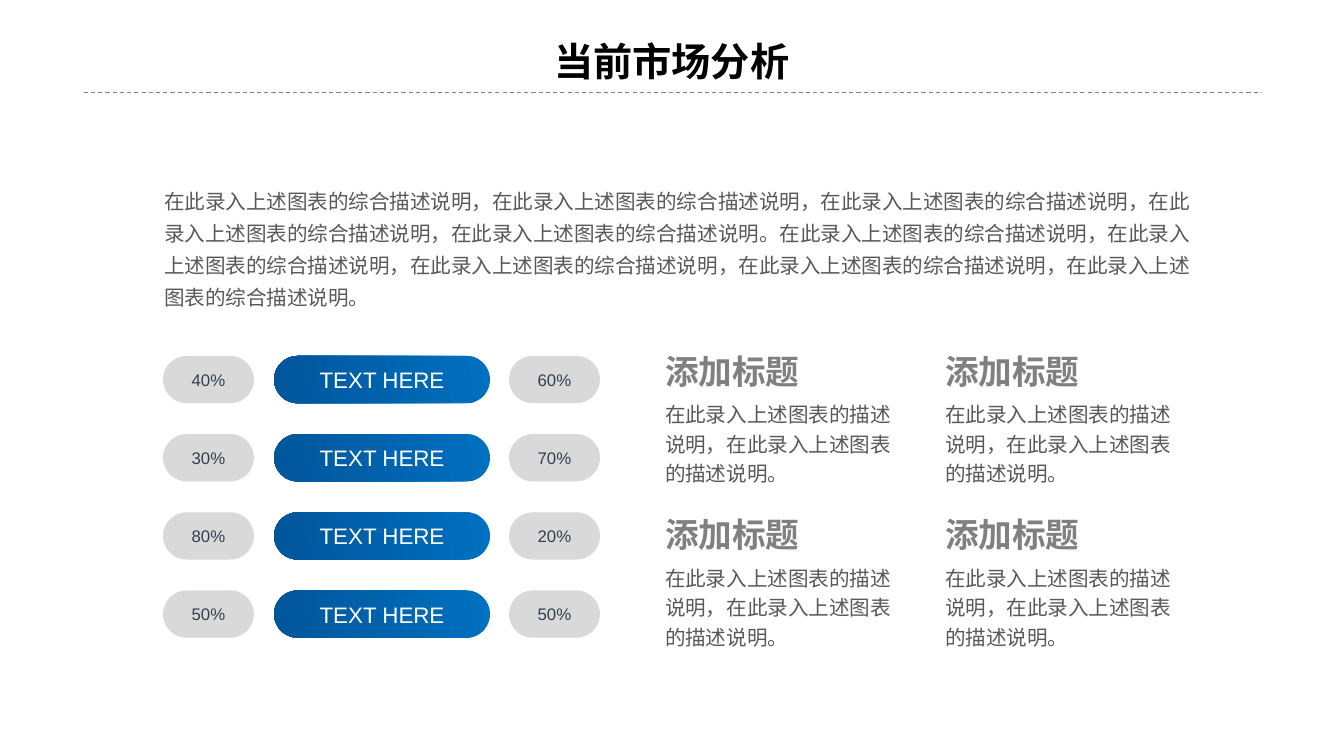
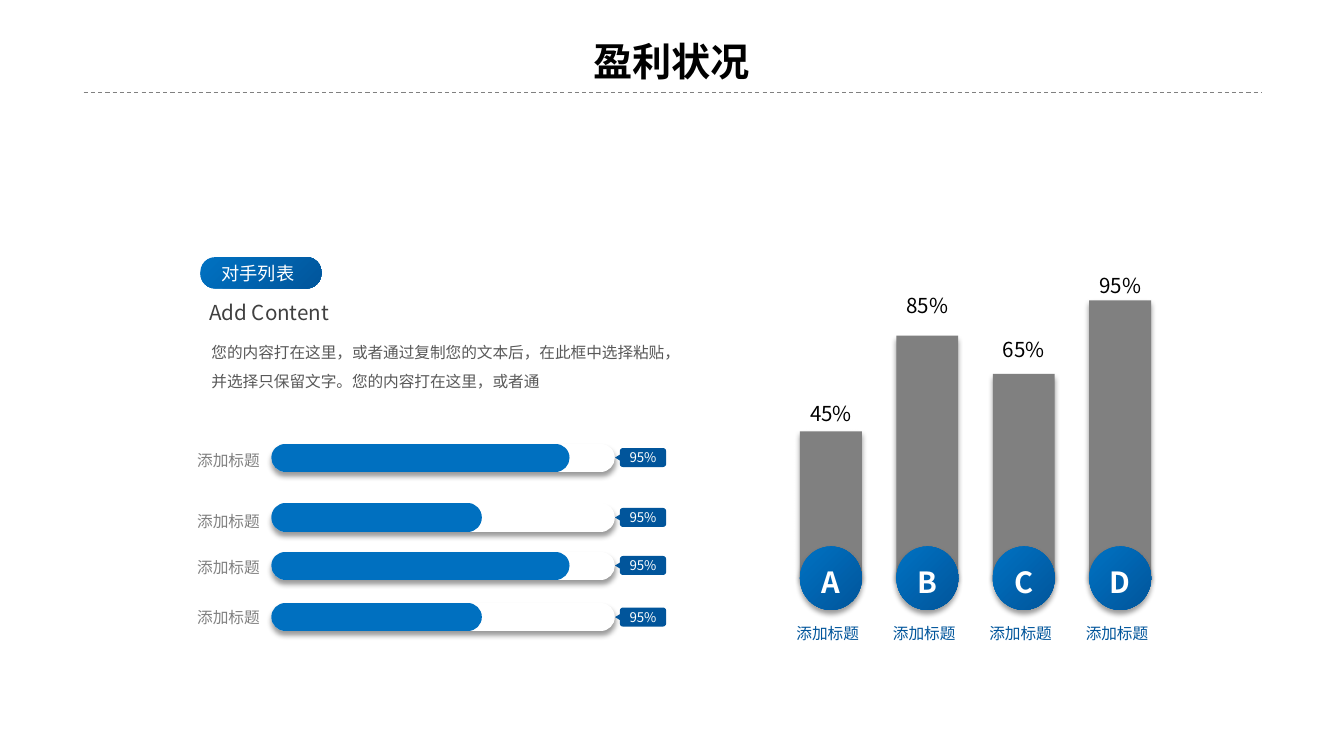
from lxml import etree
from pptx import Presentation
from pptx.dml.color import RGBColor
from pptx.enum.dml import MSO_LINE
from pptx.enum.shapes import MSO_CONNECTOR, MSO_SHAPE
from pptx.enum.text import MSO_ANCHOR, MSO_AUTO_SIZE, PP_ALIGN
from pptx.oxml.ns import qn
from pptx.util import Cm, Pt

# Shared look
CJK_FONT = "Noto Sans CJK SC"
LATIN_FONT = "Arial"
BLACK, WHITE = "000000", "FFFFFF"
BLUE, NAVY, SLATE = "0070C0", "01559B", "333F50"
GRAY, PALE, BODY, DARK = "808080", "D9D9D9", "595959", "404040"
PADDING = (0.25, 0.13, 0.25, 0.13)
NO_PADDING = (0, 0, 0, 0)

CAPTION = "添加标题"


def color(hex_code):
    return RGBColor.from_string(hex_code)


def write(frame, text, size=14.65, ink=BODY, font=CJK_FONT, bold=False,
          align=PP_ALIGN.LEFT, anchor=MSO_ANCHOR.MIDDLE, leading=None,
          padding=PADDING, wrap=True):
    """Fill a text frame with one formatted paragraph."""
    frame.auto_size = MSO_AUTO_SIZE.NONE
    frame.word_wrap = wrap
    frame.vertical_anchor = anchor
    (frame.margin_left, frame.margin_top,
     frame.margin_right, frame.margin_bottom) = map(Cm, padding)
    paragraph = frame.paragraphs[0]
    paragraph.alignment = align
    if leading:
        paragraph.line_spacing = Pt(leading)
    run = paragraph.add_run()
    run.text = text
    run.font.size = Pt(size)
    run.font.bold = bold
    run.font.color.rgb = color(ink)
    run.font.name = font
    east_asian = etree.SubElement(run.font._element, qn("a:ea"))
    east_asian.set("typeface", font)


def add_text(slide, text, left, top, width, height, **text_format):
    box = slide.shapes.add_textbox(Cm(left), Cm(top), Cm(width), Cm(height))
    write(box.text_frame, text, **text_format)


def add_centered_text(slide, text, center_x, center_y, **text_format):
    width, height = 2.4, 0.8
    add_text(slide, text, center_x - width / 2, center_y - height / 2, width, height,
             align=PP_ALIGN.CENTER, wrap=False, padding=NO_PADDING, **text_format)


def set_effects(shape, shadow):
    """Give a shape its own effect list, with or without a soft shadow below."""
    properties = shape._element.spPr
    effects = properties.find(qn("a:effectLst"))
    if effects is None:
        effects = etree.SubElement(properties, qn("a:effectLst"))
    if shadow:
        outer = etree.SubElement(effects, qn("a:outerShdw"), blurRad=str(Pt(4)),
                                 dist=str(Pt(3)), dir="5400000", algn="t",
                                 rotWithShape="0")
        tint = etree.SubElement(outer, qn("a:srgbClr"), val=BLACK)
        etree.SubElement(tint, qn("a:alpha"), val="40000")


def add_block(slide, kind, left, top, width, height, fill=None, gradient_angle=None,
              first_stop=0.05, shadow=False, roundness=None, rotation=0,
              text=None, **text_format):
    """Draw a borderless shape, flat or blue gradient, with optional text."""
    block = slide.shapes.add_shape(kind, Cm(left), Cm(top), Cm(width), Cm(height))
    block.rotation = rotation
    if roundness is not None:
        block.adjustments[0] = roundness
    if gradient_angle is None:
        block.fill.solid()
        block.fill.fore_color.rgb = color(fill)
    else:
        block.fill.gradient()
        block.fill.gradient_angle = gradient_angle
        for stop, place, tone in zip(block.fill.gradient_stops, (first_stop, 1), (BLUE, NAVY)):
            stop.position = place
            stop.color.rgb = color(tone)
    block.line.fill.background()
    block.shadow.inherit = False
    set_effects(block, shadow)
    if text:
        settings = {"ink": WHITE, "align": PP_ALIGN.CENTER, "padding": NO_PADDING}
        write(block.text_frame, text, **{**settings, **text_format})


def add_line(slide, start_x, end_x, y, ink, width, dashed=False, round_cap=False, shadow=False):
    line = slide.shapes.add_connector(MSO_CONNECTOR.STRAIGHT,
                                      Cm(start_x), Cm(y), Cm(end_x), Cm(y))
    line.line.color.rgb = color(ink)
    line.line.width = Pt(width)
    if dashed:
        line.line.dash_style = MSO_LINE.DASH
    if round_cap:
        line.line._get_or_add_ln().set("cap", "rnd")
    set_effects(line, shadow)


def add_titled_slide(deck, title_text):
    slide = deck.slides.add_slide(deck.slide_layouts[5])
    title = slide.shapes.title
    title.left, title.top, title.width, title.height = map(Cm, (9.93, 0.81, 14, 1.45))
    write(title.text_frame, title_text, size=28, ink=BLACK, bold=True, align=PP_ALIGN.CENTER)
    add_line(slide, 2.11, 31.78, 2.34, GRAY, 0.75, dashed=True)
    return slide


# Market slide parts
def add_share_row(slide, top, left_share, right_share):
    height = 1.19
    for left, share in ((4.11, left_share), (12.83, right_share)):
        add_block(slide, MSO_SHAPE.ROUNDED_RECTANGLE, left, top, 2.29, height, fill=PALE,
                  roundness=0.5, text=share, size=12, ink=SLATE, font=LATIN_FONT)
    add_block(slide, MSO_SHAPE.ROUNDED_RECTANGLE, 6.91, top, 5.44, height,
              gradient_angle=190, first_stop=0, roundness=0.5,
              text="TEXT HERE", size=16, font=LATIN_FONT)


def add_topic(slide, left, top):
    add_text(slide, CAPTION, left, top, 4.32, 1.27, size=24, ink=GRAY, bold=True)
    add_text(slide, "在此录入上述图表的描述说明，在此录入上述图表的描述说明。",
             left, top + 1.17, 6.6, 2.51, leading=21.1, anchor=MSO_ANCHOR.TOP)


def build_market_slide(deck):
    slide = add_titled_slide(deck, "当前市场分析")
    phrase = "在此录入上述图表的综合描述说明"
    summary = "，".join([phrase] * 5) + "。"
    add_text(slide, summary * 2, 3.89, 4.45, 26.6, 3.5,
             leading=22.9, anchor=MSO_ANCHOR.TOP)

    shares = [("40%", "60%"), ("30%", "70%"), ("80%", "20%"), ("50%", "50%")]
    for row, (left_share, right_share) in enumerate(shares):
        add_share_row(slide, 8.97 + 1.97 * row, left_share, right_share)

    for top in (8.71, 12.83):
        for left in (16.51, 23.57):
            add_topic(slide, left, top)


# Profit slide parts
def add_progress(slide, y, fill_end, label_y):
    start = 7.19
    add_text(slide, CAPTION, 4.72, label_y - 0.37, 2.11, 0.74,
             size=11.2, ink=GRAY, wrap=False)
    add_line(slide, start, 15.14, y, WHITE, 20, round_cap=True, shadow=True)
    add_line(slide, start, fill_end, y, BLUE, 20, round_cap=True)
    add_block(slide, MSO_SHAPE.ISOSCELES_TRIANGLE, 15.47, y - 0.15, 0.36, 0.3,
              fill=NAVY, rotation=270)
    add_block(slide, MSO_SHAPE.ROUNDED_RECTANGLE, 15.62, y - 0.24, 1.17, 0.48,
              fill=NAVY, text="95%", size=9.5, wrap=False)


def add_column(slide, center, top, letter, share, share_y):
    width, base = 1.56, 14.55
    left = center - width / 2
    add_centered_text(slide, share, center, share_y, ink=BLACK)
    add_block(slide, MSO_SHAPE.RECTANGLE, left, top, width, base - top,
              fill=GRAY, shadow=True)
    add_block(slide, MSO_SHAPE.OVAL, left, 13.77, width, 1.6, gradient_angle=315,
              shadow=True, text=letter, size=20.8, bold=True, wrap=False,
              padding=(0, 0.2, 0, 0))
    add_centered_text(slide, CAPTION, center - 0.08, 15.95, size=11.2, ink=NAVY)


def build_profit_slide(deck):
    slide = add_titled_slide(deck, "盈利状况")

    # Introduction
    add_block(slide, MSO_SHAPE.ROUNDED_RECTANGLE, 5.05, 6.48, 3.05, 0.79,
              gradient_angle=315, roundness=0.47, text="对手列表", size=13,
              padding=(0, 0, 0.15, 0))
    add_text(slide, "Add Content", 5.03, 7.42, 3.84, 0.89, ink=DARK, wrap=False)
    add_text(slide, "您的内容打在这里，或者通过复制您的文本后，在此框中选择粘贴，"
             "并选择只保留文字。您的内容打在这里，或者通", 5.08, 8.26, 12.27, 1.7,
             size=11.2, leading=20.7, anchor=MSO_ANCHOR.TOP)

    # Progress bars: bar height on the slide, end of the fill, label height
    for y, fill_end, label_y in ((11.53, 14, 11.6), (13.04, 11.79, 13.14),
                                 (14.25, 14, 14.3), (15.55, 11.79, 15.55)):
        add_progress(slide, y, fill_end, label_y)

    # Columns: top edge, letter, share, height of the share label
    columns = [(10.87, "A", "45%", 10.42), (8.46, "B", "85%", 7.7),
               (9.42, "C", "65%", 8.8), (7.57, "D", "95%", 7.19)]
    for index, column in enumerate(columns):
        add_column(slide, 20.94 + 2.43 * index, *column)


def main():
    deck = Presentation()
    deck.slide_width, deck.slide_height = Cm(33.87), Cm(19.05)
    build_market_slide(deck)
    build_profit_slide(deck)
    deck.save("out.pptx")


if __name__ == "__main__":
    main()
